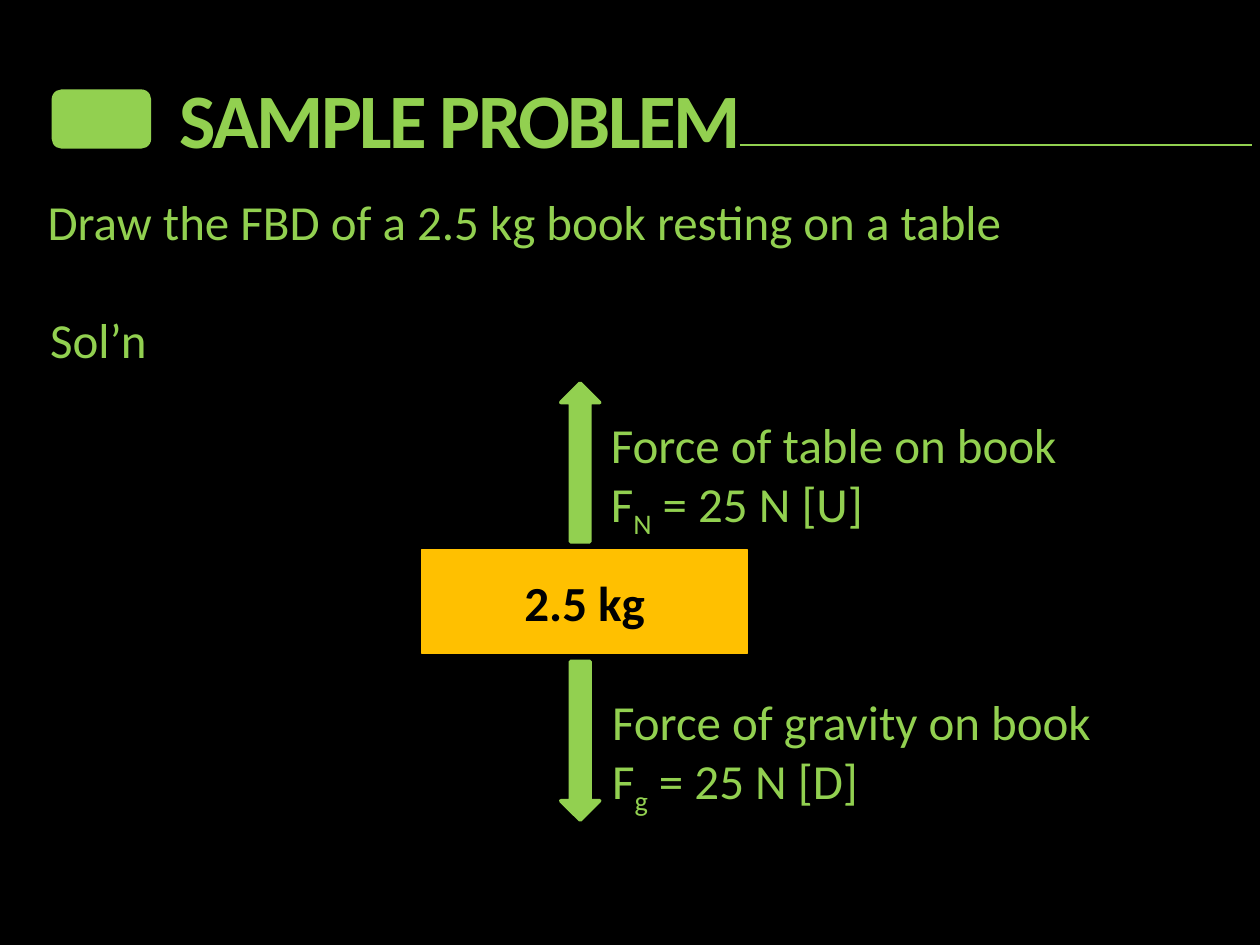
from dataclasses import dataclass

from lxml import etree
from pptx import Presentation
from pptx import util as u
from pptx.dml import color
from pptx.enum import shapes, text
from pptx.oxml import ns

FONT = "Calibri"
GREEN = "92D050"
AMBER = "FFC000"
BLACK = "000000"


@dataclass
class Force:
    name: str
    symbol: str
    subscript: str
    value: str
    label_left: float
    label_top: float
    label_width: float
    arrow_top: float
    rotation: int


FORCES = [
    Force("Force of table on book", "F", "N", " = 25 N [U]", 4.75, 3.24, 3.82, 3.04, 0),
    Force("Force of gravity on book", "F", "g", " = 25 N [D]", 4.76, 5.44, 4.12, 5.25, 180),
]


def rgb(value: str) -> color.RGBColor:
    return color.RGBColor.from_string(value)


def add_span(para, content: str, *, size: float = 28, hue: str = GREEN,
             bold: bool = False, spacing: int = 0, baseline: int = 0) -> None:
    span = para.add_run()
    span.text = content
    span.font.name = FONT
    span.font.size = u.Pt(size)
    span.font.bold = bold
    span.font.color.rgb = rgb(hue)
    properties = span.font._element
    if spacing:
        properties.set("spc", str(spacing))
    if baseline:
        properties.set("baseline", str(baseline))


def add_box(page, left: float, top: float, width: float, height: float, wrap: bool = True):
    box = page.shapes.add_textbox(u.Inches(left), u.Inches(top), u.Inches(width), u.Inches(height))
    box.text_frame.word_wrap = wrap
    return box.text_frame


def add_figure(page, kind, left: float, top: float, width: float, height: float,
               hue: str, line_width: float = 0):
    figure = page.shapes.add_shape(
        kind, u.Inches(left), u.Inches(top), u.Inches(width), u.Inches(height))
    figure.shadow.inherit = False
    figure.fill.solid()
    figure.fill.fore_color.rgb = rgb(hue)
    if line_width:
        figure.line.color.rgb = rgb(hue)
        figure.line.width = u.Pt(line_width)
    else:
        figure.line.fill.background()
    return figure


def add_heading(page) -> None:
    title = add_box(page, 1.33, 0.52, 8.61, 0.84)
    add_span(title.paragraphs[0], "SAMPLE PROBLEM", size=44, bold=True, spacing=-150)
    add_figure(page, shapes.MSO_SHAPE.ROUNDED_RECTANGLE, 0.41, 0.71, 0.79, 0.47, GREEN)
    rule = page.shapes.add_connector(
        shapes.MSO_CONNECTOR.STRAIGHT,
        u.Inches(5.87), u.Inches(1.15), u.Inches(9.94), u.Inches(1.15))
    rule.line.color.rgb = rgb(GREEN)
    rule.line.width = u.Pt(0.75)
    etree.SubElement(rule._element.spPr, ns.qn("a:effectLst"))


def add_book(page) -> None:
    book = add_figure(page, shapes.MSO_SHAPE.RECTANGLE, 3.35, 4.36, 2.58, 0.83, AMBER, 0.75)
    frame = book.text_frame
    frame.word_wrap = False
    frame.vertical_anchor = text.MSO_ANCHOR.MIDDLE
    para = frame.paragraphs[0]
    para.alignment = text.PP_ALIGN.CENTER
    add_span(para, "2.5 kg", hue=BLACK, bold=True)


def add_force(page, force: Force) -> None:
    label = add_box(page, force.label_left, force.label_top, force.label_width, 1.04, wrap=False)
    add_span(label.paragraphs[0], force.name)
    equation = label.add_paragraph()
    add_span(equation, force.symbol)
    add_span(equation, force.subscript, baseline=-25000)
    add_span(equation, force.value)
    arrow = add_figure(page, shapes.MSO_SHAPE.UP_ARROW, 4.45, force.arrow_top, 0.31, 1.26, GREEN, 2)
    arrow.rotation = force.rotation


def main() -> None:
    deck = Presentation()
    deck.slide_width = u.Inches(10)
    deck.slide_height = u.Inches(7.5)
    page = deck.slides.add_slide(deck.slide_layouts[6])
    page.background.fill.solid()
    page.background.fill.fore_color.rgb = rgb(BLACK)

    add_heading(page)
    question = add_box(page, 0.28, 1.47, 9.67, 0.57)
    add_span(question.paragraphs[0], "Draw the FBD of a 2.5 kg book resting on a table")
    solution = add_box(page, 0.3, 2.41, 2.28, 0.57)
    add_span(solution.paragraphs[0], "Sol’n")
    add_book(page)
    for force in FORCES:
        add_force(page, force)

    deck.save("out.pptx")


if __name__ == "__main__":
    main()
